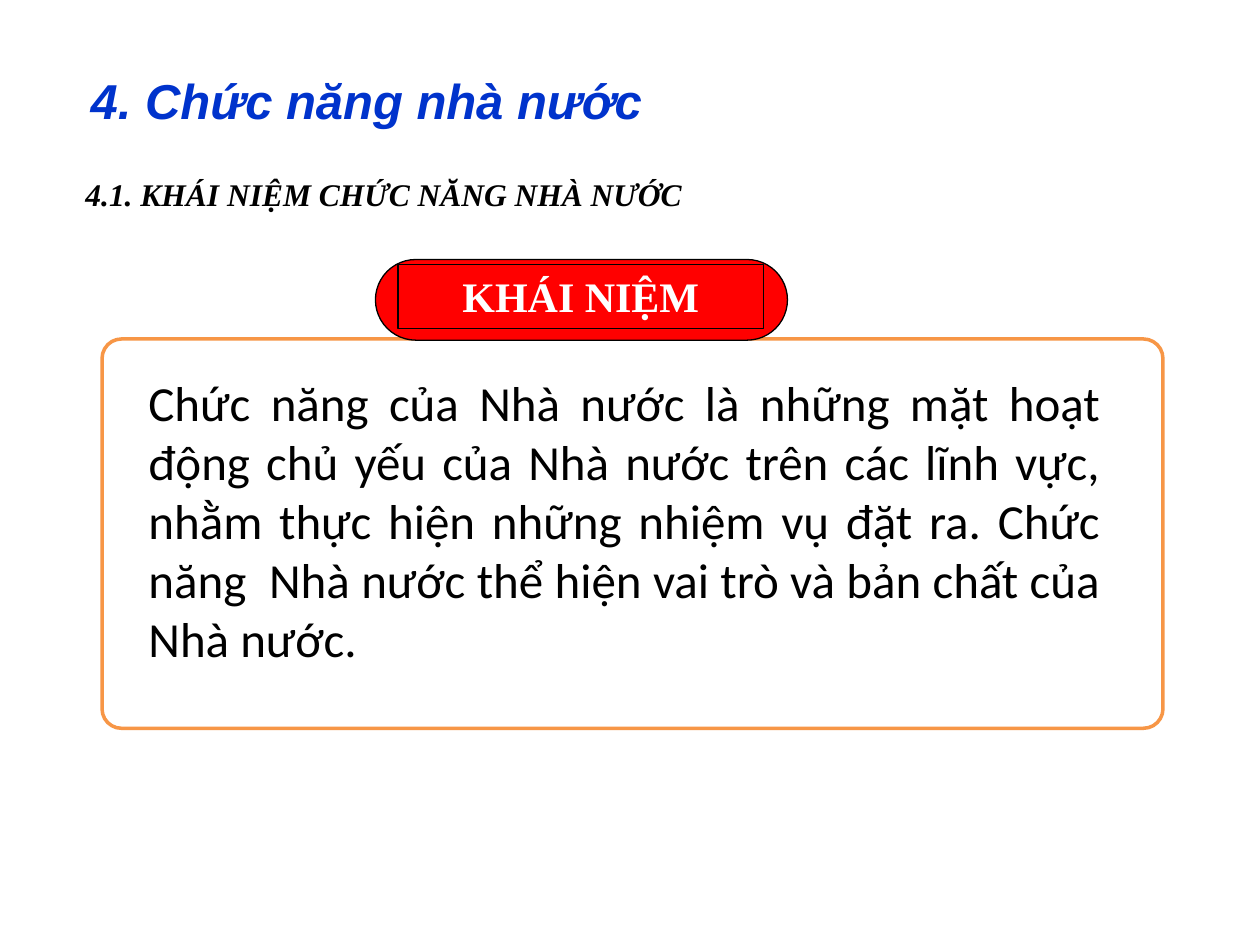
from dataclasses import dataclass

from pptx import Presentation
from pptx.dml.color import RGBColor
from pptx.enum.shapes import MSO_SHAPE
from pptx.enum.text import MSO_ANCHOR, MSO_AUTO_SIZE, PP_ALIGN
from pptx.util import Inches, Pt

LEFT, CENTER, JUSTIFY = PP_ALIGN.LEFT, PP_ALIGN.CENTER, PP_ALIGN.JUSTIFY
RECTANGLE, ROUNDED = MSO_SHAPE.RECTANGLE, MSO_SHAPE.ROUNDED_RECTANGLE
TOP, NO_FIT = MSO_ANCHOR.TOP, MSO_AUTO_SIZE.NONE
TITLE_ONLY = 5


@dataclass(frozen=True)
class Theme:
    # Colours
    blue: RGBColor = RGBColor(0x00, 0x33, 0xCC)
    orange: RGBColor = RGBColor(0xF7, 0x96, 0x46)
    red: RGBColor = RGBColor(0xFF, 0x00, 0x00)
    black: RGBColor = RGBColor(0x00, 0x00, 0x00)
    white: RGBColor = RGBColor(0xFF, 0xFF, 0xFF)
    # Type sizes
    large: Pt = Pt(28)
    label: Pt = Pt(24)
    small: Pt = Pt(18)
    # Fonts
    sans: str = "Arial"
    serif: str = "Times New Roman"
    body: str = "Calibri"


class SlideBuilder:
    def __init__(self, slide, theme):
        self.slide = slide
        self.theme = theme

    def fill_text(self, shape, text, align, font):
        """Put one formatted paragraph into a shape."""
        frame = shape.text_frame
        frame.text = text
        frame.word_wrap = True
        frame.auto_size = NO_FIT
        frame.vertical_anchor = TOP
        paragraph = frame.paragraphs[0]
        paragraph.alignment = align
        colour = font.pop("colour")
        for name, value in font.items():
            setattr(paragraph.font, name, value)
        paragraph.font.color.rgb = colour

    def title(self, box, text, **font):
        heading = self.slide.shapes.title
        for name, value in zip(("left", "top", "width", "height"), box):
            setattr(heading, name, Inches(value))
        self.fill_text(heading, text, LEFT, font)

    def text(self, box, text, align=LEFT, **font):
        holder = self.slide.shapes.add_textbox(*map(Inches, box))
        self.fill_text(holder, text, align, font)

    def panel(self, kind, box, fill, line, width, corner=None):
        panel = self.slide.shapes.add_shape(kind, *map(Inches, box))
        panel.shadow.inherit = False
        panel.fill.solid()
        panel.fill.fore_color.rgb = fill
        panel.line.color.rgb = line
        panel.line.width = Pt(width)
        if corner is not None:
            panel.adjustments[0] = corner
        return panel

    def label(self, box, text, fill, line, width, **font):
        plate = self.panel(RECTANGLE, box, fill, line, width)
        self.fill_text(plate, text, CENTER, font)


def main():
    theme = Theme()
    deck = Presentation()
    deck.slide_width, deck.slide_height = Inches(10), Inches(7.5)
    slide = deck.slides.add_slide(deck.slide_layouts[TITLE_ONLY])
    builder = SlideBuilder(slide, theme)

    # Headings
    builder.title((0.62, 0.51, 8.67, 0.57), "4. Chức năng nhà nước",
                  name=theme.sans, size=theme.large, bold=True, italic=True,
                  colour=theme.blue)
    builder.text((0.58, 1.34, 5.83, 0.4), "4.1. KHÁI NIỆM CHỨC NĂNG NHÀ NƯỚC",
                 name=theme.serif, size=theme.small, bold=True, italic=True,
                 colour=theme.black)

    # Definition frame with its red tab
    builder.panel(ROUNDED, (0.81, 2.69, 8.42, 3.09), theme.white,
                  theme.orange, 2, corner=0.05)
    builder.panel(ROUNDED, (2.98, 2.06, 3.27, 0.64), theme.red,
                  theme.black, 0.75, corner=0.5)
    builder.label((3.16, 2.1, 2.9, 0.51), "KHÁI NIỆM", theme.red,
                  theme.black, 0.75, name=theme.serif, size=theme.label,
                  bold=True, colour=theme.white)

    # Definition
    definition = (
        "Chức năng của Nhà nước là những mặt hoạt động chủ yếu của Nhà nước "
        "trên các lĩnh vực, nhằm thực hiện những nhiệm vụ đặt ra. Chức năng  "
        "Nhà nước thể hiện vai trò và bản chất của Nhà nước."
    )
    builder.text((1.08, 2.91, 7.75, 2.46), definition, JUSTIFY,
                 name=theme.body, size=theme.large, colour=theme.black)

    deck.save("out.pptx")


if __name__ == "__main__":
    main()
